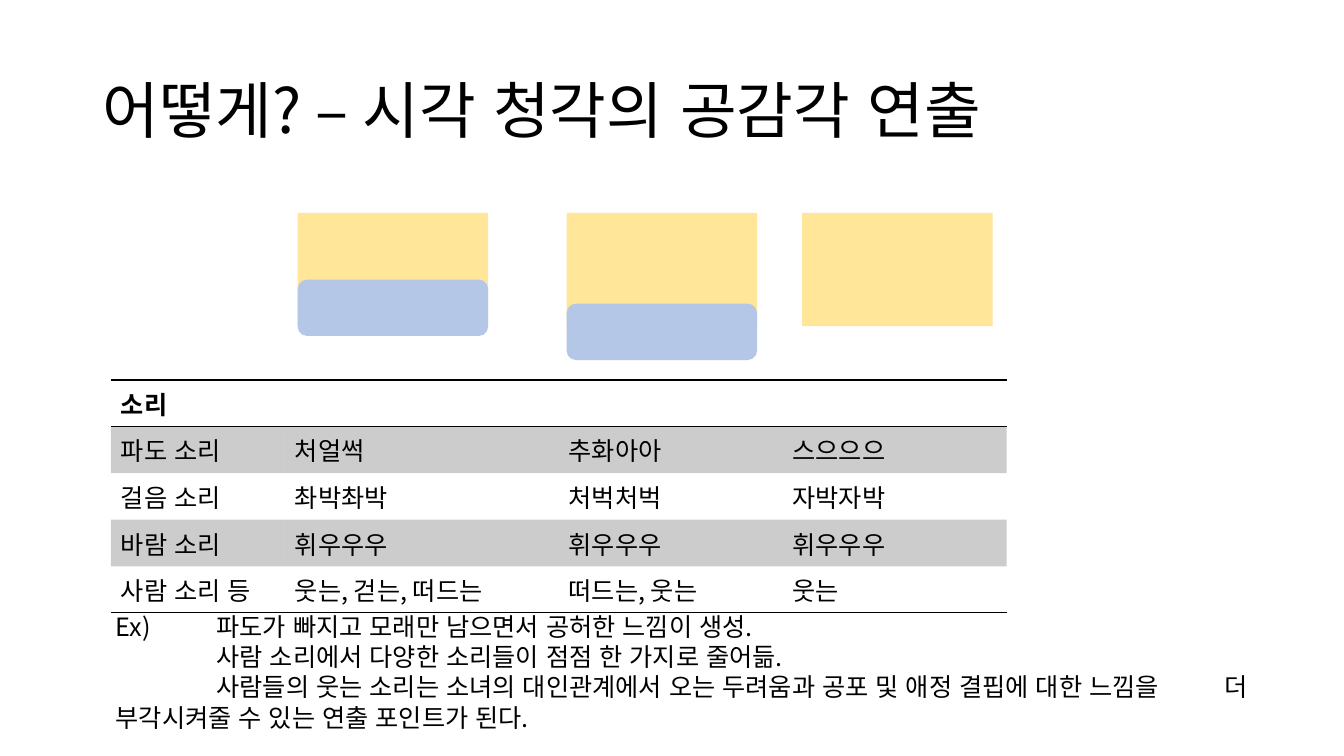
import pptx
import pptx.util
import pptx.dml.color
import pptx.enum.lang
import pptx.enum.shapes
import pptx.enum.text
import pptx.oxml
import pptx.oxml.ns
import lxml.etree

Pt = pptx.util.Pt
qn = pptx.oxml.ns.qn
ShapeKind = pptx.enum.shapes.MSO_SHAPE
Anchor = pptx.enum.text.MSO_ANCHOR

COLORS = {"ink": "000000", "sand": "FFE699", "sea": "B4C7E7"}
PLAIN_TABLE = "{2D5ABB26-0587-4C30-8999-92F81FD0307C}"


class SlideWriter:
    font = "Noto Sans CJK KR"
    body_size = 18
    title_size = 44
    tab_width = 72

    def __init__(self, slide):
        self.slide = slide

    def color(self, name):
        return pptx.dml.color.RGBColor.from_string(COLORS[name])

    def run(self, paragraph, text, size, bold=False):
        run = paragraph.add_run()
        run.text = text
        run.font.size = Pt(size)
        run.font.bold = bold
        run.font.name = self.font
        run.font.language_id = pptx.enum.lang.MSO_LANGUAGE_ID.KOREAN
        run.font.color.rgb = self.color("ink")
        east_asian = lxml.etree.SubElement(run.font._element, qn("a:ea"))
        east_asian.set("typeface", self.font)

    def title(self, text, left, top, width, height):
        title = self.slide.shapes.title
        title.left, title.top = Pt(left), Pt(top)
        title.width, title.height = Pt(width), Pt(height)
        frame = title.text_frame
        frame.word_wrap = True
        frame.auto_size = pptx.enum.text.MSO_AUTO_SIZE.NONE
        frame.vertical_anchor = Anchor.MIDDLE
        paragraph = frame.paragraphs[0]
        paragraph.alignment = pptx.enum.text.PP_ALIGN.LEFT
        paragraph.line_spacing = 0.9
        self.run(paragraph, text, self.title_size)

    def block(self, kind, fill, left, top, width, height):
        block = self.slide.shapes.add_shape(kind, Pt(left), Pt(top), Pt(width), Pt(height))
        block.shadow.inherit = False
        block.fill.solid()
        block.fill.fore_color.rgb = self.color(fill)
        block.line.fill.background()

    def border(self, cell, side):
        line = pptx.oxml.parse_xml(
            f'<a:{side} xmlns:a="http://schemas.openxmlformats.org/drawingml/2006/main" w="12700">'
            f'<a:solidFill><a:srgbClr val="{COLORS["ink"]}"/></a:solidFill></a:{side}>')
        cell._tc.get_or_add_tcPr().insert(0, line)

    def shade(self, cell):
        cell.fill.solid()
        cell.fill.fore_color.rgb = self.color("ink")
        tone = cell._tc.tcPr.find(".//" + qn("a:srgbClr"))
        lxml.etree.SubElement(tone, qn("a:alpha")).set("val", "20000")

    def table(self, rows, left, top, widths, row_height):
        frame = self.slide.shapes.add_table(
            len(rows), len(widths), Pt(left), Pt(top), Pt(sum(widths)), Pt(row_height * len(rows)))
        frame._element.find(".//" + qn("a:tableStyleId")).text = PLAIN_TABLE
        table = frame.table
        for column, width in zip(table.columns, widths):
            column.width = Pt(width)
        for r, texts in enumerate(rows):
            table.rows[r].height = Pt(row_height)
            for c, text in enumerate(texts):
                cell = table.cell(r, c)
                if r % 2:
                    self.shade(cell)
                else:
                    cell.fill.background()
                if r in (0, len(rows) - 1):
                    self.border(cell, "lnB")
                if r == 0:
                    self.border(cell, "lnT")
                if text:
                    self.run(cell.text_frame.paragraphs[0], text, self.body_size, r == 0)

    def text(self, lines, left, top, width, height):
        frame = self.slide.shapes.add_textbox(Pt(left), Pt(top), Pt(width), Pt(height)).text_frame
        frame.word_wrap = True
        frame.auto_size = pptx.enum.text.MSO_AUTO_SIZE.SHAPE_TO_FIT_TEXT
        for i, line in enumerate(lines):
            paragraph = frame.add_paragraph() if i else frame.paragraphs[0]
            paragraph._p.get_or_add_pPr().set("defTabSz", str(Pt(self.tab_width)))
            self.run(paragraph, line, self.body_size)


deck = pptx.Presentation()
deck.slide_width, deck.slide_height = Pt(960), Pt(540)
writer = SlideWriter(deck.slides.add_slide(deck.slide_layouts[5]))

writer.title("어떻게? – 시각 청각의 공감각 연출", 66, 28.75, 828, 104.38)

for scene_left, sea_top in ((212.6, 199.7), (404.7, 216.9), (572.9, None)):
    writer.block(ShapeKind.RECTANGLE, "sand", scene_left, 152, 136.1, 81)
    if sea_top:
        writer.block(ShapeKind.FLOWCHART_ALTERNATE_PROCESS, "sea", scene_left, sea_top, 136.1, 40.3)

sounds = [
    ("소리", "", "", ""),
    ("파도 소리", "처얼썩", "추화아아", "스으으으"),
    ("걸음 소리", "촤박촤박", "처벅처벅", "자박자박"),
    ("바람 소리", "휘우우우", "휘우우우", "휘우우우"),
    ("사람 소리 등", "웃는, 걷는, 떠드는", "떠드는, 웃는", "웃는"),
]
writer.table(sounds, 79.2, 271.4, (124.2, 195.6, 160, 160), 29.2)

writer.text([
    "Ex)\t파도가 빠지고 모래만 남으면서 공허한 느낌이 생성.",
    "\t사람 소리에서 다양한 소리들이 점점 한 가지로 줄어듦.",
    "\t사람들의 웃는 소리는 소녀의 대인관계에서 오는 두려움과 공포 및 애정 결핍에 대한 느낌을 "
    "\t더 부각시켜줄 수 있는 연출 포인트가 된다.",
], 75.6, 433, 832.3, 94.5)

deck.save("out.pptx")
